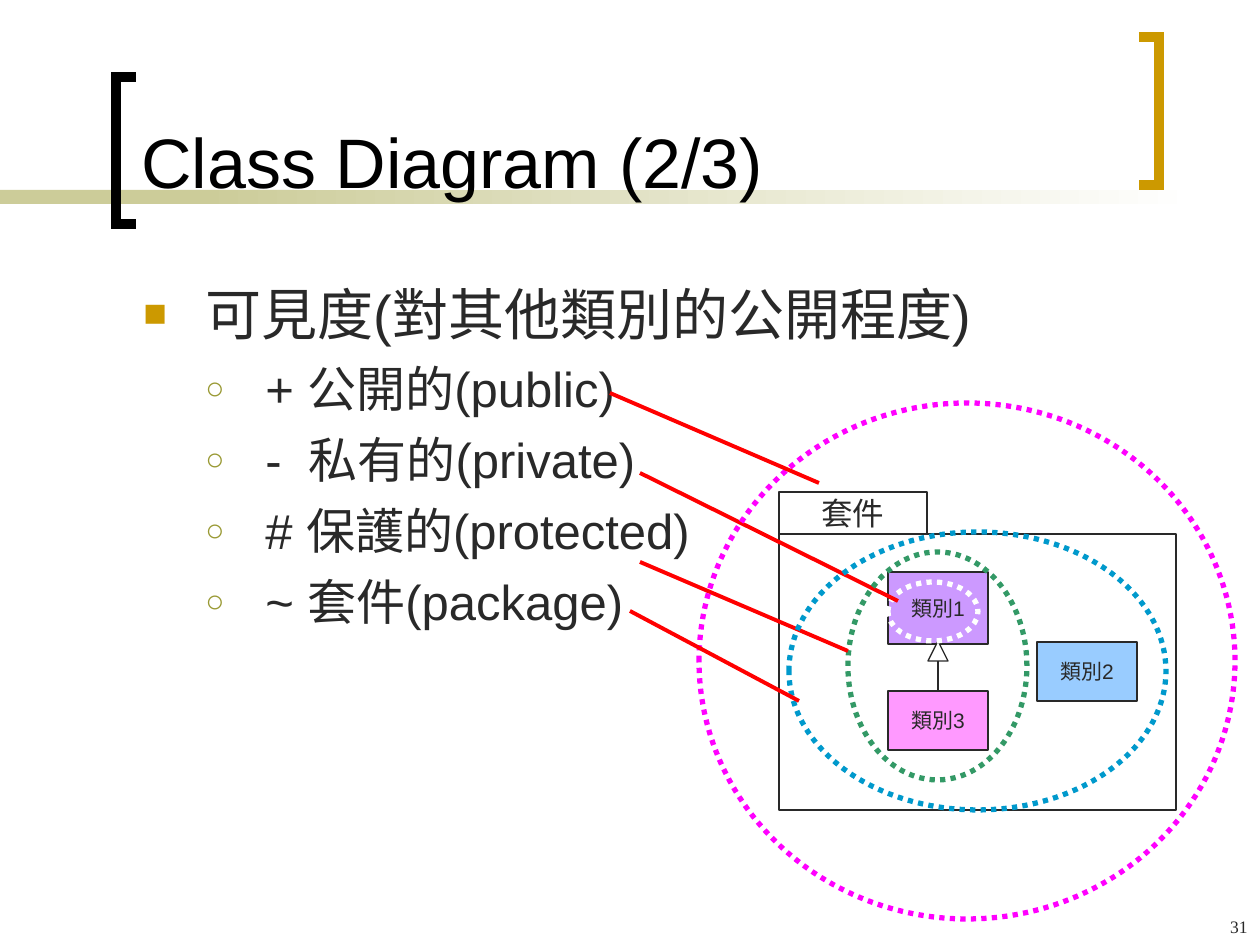
from lxml import etree
from pptx import Presentation
from pptx.dml.color import RGBColor
from pptx.enum.dml import MSO_LINE as Dash
from pptx.enum.shapes import MSO_CONNECTOR as Conn, MSO_SHAPE as Kind
from pptx.enum.text import MSO_ANCHOR as Anchor, PP_ALIGN as Align
from pptx.oxml.ns import qn
from pptx.util import Pt

PX = 914400 // 126
INK, WHITE, RED = "292929", "FFFFFF", "FF0000"
GOLD, SAND = "CC9900", "CCCC99"

TITLE = "Class Diagram (2/3)"
HEAD = "可見度(對其他類別的公開程度)"
ITEMS = ["+ 公開的(public)", "-  私有的(private)", "# 保護的(protected)", "~ 套件(package)"]
BRACKETS = [
    ([(136, 224), (116, 224), (116, 77), (136, 77)], "000000"),
    ([(1139, 37), (1159, 37), (1159, 185), (1139, 185)], GOLD),
]
BOXES = [
    ("", (779, 534, 397, 276), WHITE, 18),
    ("套件", (779, 492, 148, 42), WHITE, 18),
    ("類別1", (888, 572, 100, 72), "CC99FF", 12),
    ("類別2", (1037, 642, 100, 59), "99CCFF", 12),
    ("類別3", (888, 691, 100, 59), "FF99FF", 12),
]
SCOPES = [
    ((888, 582, 90, 59), WHITE, (640, 473, 898, 601)),
    ((848, 552, 179, 228), "339966", (640, 562, 848, 651)),
    ((699, 403, 536, 516), "FF00FF", (610, 393, 819, 483)),
    ((789, 532, 377, 278), "0099CC", (630, 611, 799, 701)),
]


def px(*nums):
    return [n * PX for n in nums]


def rgb(code):
    return RGBColor.from_string(code)


def sub(node, tag, **attrs):
    return etree.SubElement(node, qn(tag), attrs)


def edge(obj, color, width, dash=None):
    obj.line.color.rgb = rgb(color)
    obj.line.width = Pt(width)
    if dash:
        obj.line.dash_style = dash


def write(frame, text, size=12, color=INK, font="Arial", align=Align.LEFT,
          anchor=Anchor.TOP, wrap=True, more=False, before=0, bullet=None):
    """Add one paragraph of text to a frame."""
    frame.word_wrap, frame.vertical_anchor = wrap, anchor
    para = frame.add_paragraph() if more else frame.paragraphs[0]
    if bullet:
        char, tint, pct, left, hang = bullet
        props = para._p.get_or_add_pPr()
        props.set("marL", str(left * PX))
        props.set("indent", str(-hang * PX))
        sub(sub(props, "a:buClr"), "a:srgbClr", val=tint)
        sub(props, "a:buSzPct", val=str(pct * 1000))
        sub(props, "a:buFont", typeface=font)
        sub(props, "a:buChar", char=char)
    para.alignment = align
    para.space_before = Pt(before)
    run = para.add_run()
    run.text = text
    run.font.size, run.font.name = Pt(size), font
    run.font.color.rgb = rgb(color)


def shape(kind, at, fill=None):
    obj = slide.shapes.add_shape(kind, *px(*at))
    obj.shadow.inherit = False
    if fill:
        obj.fill.solid()
        obj.fill.fore_color.rgb = rgb(fill)
    else:
        obj.fill.background()
    return obj


def link(ends, color, width, goal=None):
    obj = slide.shapes.add_connector(Conn.STRAIGHT, *px(*ends))
    if goal:
        obj.end_connect(goal, 0)
    edge(obj, color, width)
    sub(obj._element.spPr, "a:effectLst")


def frame(at):
    return slide.shapes.add_textbox(*px(*at)).text_frame


deck = Presentation()
deck.slide_width, deck.slide_height = px(1260, 945)
slide = deck.slides.add_slide(deck.slide_layouts[6])

shape(Kind.RECTANGLE, (0, 190, 294, 14), SAND).line.fill.background()
fade = shape(Kind.RECTANGLE, (199, 190, 998, 14))
fade.line.fill.background()
fade.fill.gradient()
fade.fill.gradient_angle = 0
for stop, tint in zip(fade.fill.gradient_stops, (SAND, WHITE)):
    stop.color.rgb = rgb(tint)

for pts, color in BRACKETS:
    pen = slide.shapes.build_freeform(*pts[0], scale=PX)
    pen.add_line_segments(pts[1:], close=False)
    mark = pen.convert_to_shape()
    mark.shadow.inherit = False
    mark.fill.background()
    edge(mark, color, 6)
    sub(mark.line._get_or_add_ln(), "a:miter", lim="800000")

write(frame((129, 14, 986, 195)), TITLE, size=40, color="000000", anchor=Anchor.BOTTOM)
body = frame((131, 273, 1056, 567))
write(body, HEAD, size=32, bullet=("■", GOLD, 70, 62, 62))
for item in ITEMS:
    write(body, item, size=28, more=True, before=7, bullet=("○", "999933", 65, 122, 60))

for text, at, fill, size in BOXES:
    box = shape(Kind.RECTANGLE, at, fill)
    edge(box, INK, 0.75)
    if text:
        write(box.text_frame, text, size=size, align=Align.CENTER,
              anchor=Anchor.MIDDLE, wrap=False)

edge(shape(Kind.ISOSCELES_TRIANGLE, (928, 641, 20, 20), WHITE), INK, 0.75)
link((938, 661, 938, 691), INK, 0.75, goal=box)

for at, color, ends in SCOPES:
    edge(shape(Kind.OVAL, at), color, 3, Dash.ROUND_DOT)
    link(ends, RED, 2.25)

write(frame((998, 910, 262, 35)), "31", size=10, font="Times New Roman", align=Align.RIGHT)
deck.save("out.pptx")
